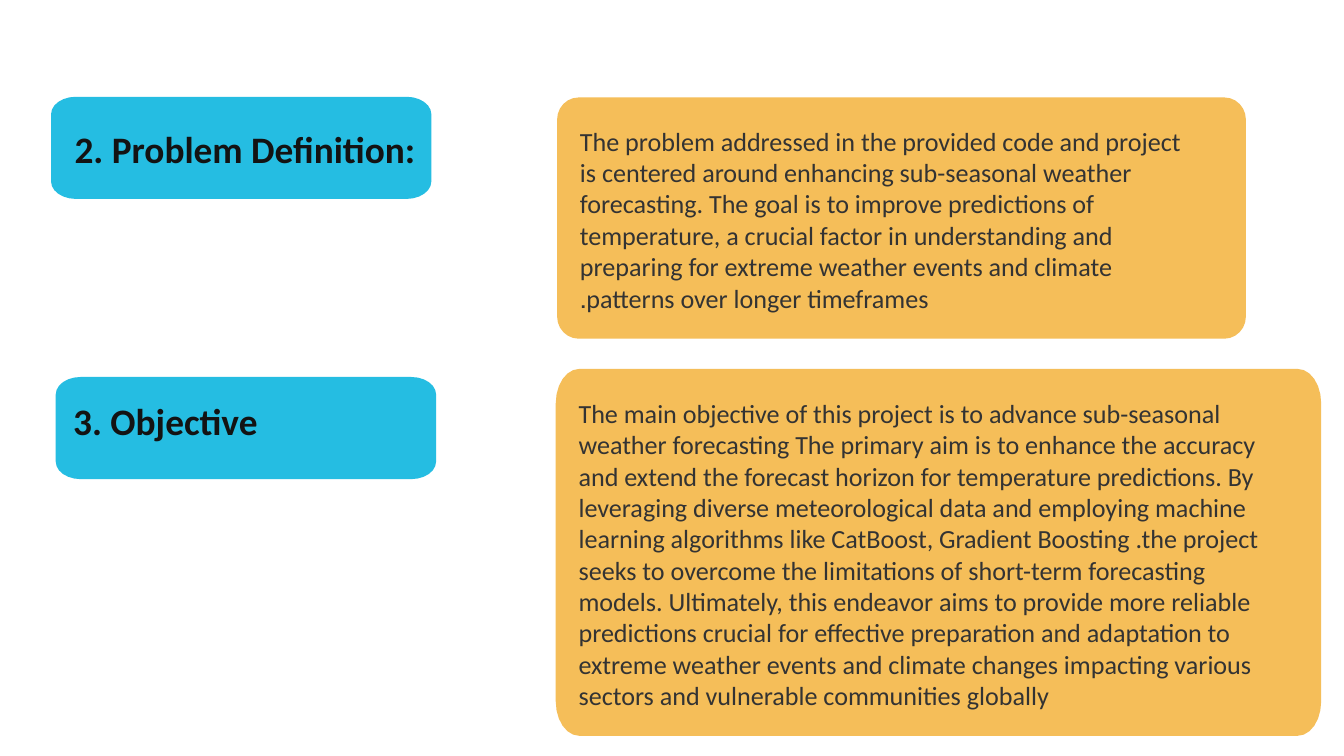
from dataclasses import dataclass
from math import cos, pi, sin

from pptx import Presentation
from pptx.dml.color import RGBColor
from pptx.enum.text import MSO_ANCHOR, MSO_AUTO_SIZE, PP_ALIGN
from pptx.util import Inches, Pt

COLORS = {"heading_fill": "25BDE2", "body_fill": "F5BE59",
          "heading_text": "131313", "body_text": "333333"}
FONT = "Calibri"
CORNER_STEPS = 6


@dataclass
class Panel:
    left: float
    top: float
    width: float
    height: float
    rx: float
    ry: float
    fill: str


@dataclass
class TextBlock:
    left: float
    top: float
    width: float
    height: float
    text: str


@dataclass
class TextStyle:
    size: int
    color: str
    bold: bool
    inset_top: float
    before: float = 0
    after: float = 0
    rtl: bool = False


HEADING = TextStyle(40, "heading_text", True, 0.02, before=1.2)
BODY = TextStyle(28, "body_text", False, 0.15, after=8, rtl=True)

PANELS = [
    Panel(0.83, 5.61, 5.66, 1.52, 0.37, 0.26, "heading_fill"),
    Panel(8.29, 1.45, 10.25, 3.59, 0.32, 0.33, "body_fill"),
    Panel(0.76, 1.44, 5.66, 1.52, 0.37, 0.26, "heading_fill"),
    Panel(8.27, 5.49, 11.39, 5.46, 0.35, 0.51, "body_fill"),
]

PROBLEM_TITLE = TextBlock(1.1, 1.86, 6.25, 0.69, "2. Problem Definition:")
OBJECTIVE_TITLE = TextBlock(1.08, 5.9, 6.25, 0.69, "3. Objective")
PROBLEM = TextBlock(
    8.63, 1.71, 9, 2.98,
    "The problem addressed in the provided code and project is centered around "
    "enhancing sub-seasonal weather forecasting. The goal is to improve predictions "
    "of temperature, a crucial factor in understanding and preparing for extreme "
    "weather events and climate patterns over longer timeframes.")
OBJECTIVE = TextBlock(
    8.61, 5.76, 10.31, 4.86,
    "The main objective of this project is to advance sub-seasonal weather "
    "forecasting The primary aim is to enhance the accuracy and extend the forecast "
    "horizon for temperature predictions. By leveraging diverse meteorological data "
    "and employing machine learning algorithms like CatBoost, Gradient Boosting .the "
    "project seeks to overcome the limitations of short-term forecasting models. "
    "Ultimately, this endeavor aims to provide more reliable predictions crucial for "
    "effective preparation and adaptation to extreme weather events and climate "
    "changes impacting various sectors and vulnerable communities globally")


def panel_outline(panel: Panel) -> list[tuple[int, int]]:
    """Trace the panel clockwise, with an elliptical arc at each corner."""
    x1, x2 = panel.left + panel.rx, panel.left + panel.width - panel.rx
    y1, y2 = panel.top + panel.ry, panel.top + panel.height - panel.ry
    points = []
    for corner, (cx, cy) in enumerate([(x2, y2), (x1, y2), (x1, y1), (x2, y1)]):
        for step in range(CORNER_STEPS + 1):
            angle = (corner + step / CORNER_STEPS) * pi / 2
            points.append((Inches(cx + panel.rx * cos(angle)),
                           Inches(cy + panel.ry * sin(angle))))
    return points


def add_panel(s, panel: Panel) -> None:
    start, *rest = panel_outline(panel)
    builder = s.shapes.build_freeform(*start)
    builder.add_line_segments(rest, close=True)
    sp = builder.convert_to_shape()
    sp.shadow.inherit = False
    sp.fill.solid()
    sp.fill.fore_color.rgb = RGBColor.from_string(COLORS[panel.fill])
    sp.line.fill.background()


def fill_text(sp, block: TextBlock, style: TextStyle) -> None:
    sp.left, sp.top = Inches(block.left), Inches(block.top)
    sp.width, sp.height = Inches(block.width), Inches(block.height)
    tf = sp.text_frame
    tf.text = block.text
    tf.word_wrap = True
    tf.auto_size = MSO_AUTO_SIZE.SHAPE_TO_FIT_TEXT
    tf.vertical_anchor = MSO_ANCHOR.TOP
    tf.margin_left = tf.margin_right = tf.margin_bottom = 0
    tf.margin_top = Inches(style.inset_top)
    p = tf.paragraphs[0]
    p.alignment = PP_ALIGN.LEFT
    p.space_before, p.space_after = Pt(style.before), Pt(style.after)
    pPr = p._p.get_or_add_pPr()
    if style.rtl:
        pPr.set("rtl", "1")
    else:
        pPr.set("marL", str(Inches(0.01)))
    font = p.runs[0].font
    font.name, font.size, font.bold = FONT, Pt(style.size), style.bold
    font.color.rgb = RGBColor.from_string(COLORS[style.color])


def add_text(s, block: TextBlock, style: TextStyle) -> None:
    fill_text(s.shapes.add_textbox(0, 0, 0, 0), block, style)


def main() -> None:
    prs = Presentation()
    prs.slide_width, prs.slide_height = Inches(20), Inches(11.25)
    s = prs.slides.add_slide(prs.slide_layouts[5])
    for panel in PANELS:
        add_panel(s, panel)
    title = s.shapes.title
    s.shapes._spTree.append(title._element)  # bring the title above the panels
    fill_text(title, PROBLEM_TITLE, HEADING)
    add_text(s, PROBLEM, BODY)
    add_text(s, OBJECTIVE_TITLE, HEADING)
    add_text(s, OBJECTIVE, BODY)
    prs.save("out.pptx")


if __name__ == "__main__":
    main()
